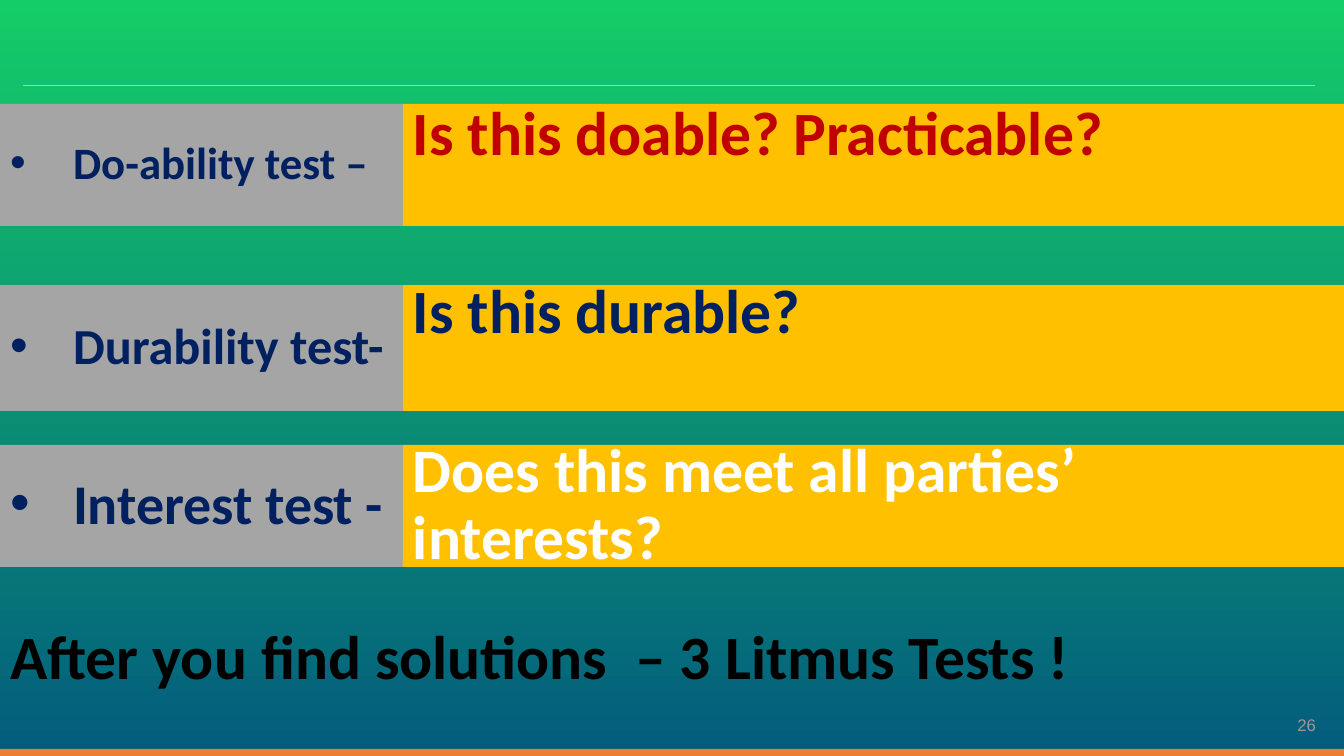
from lxml.etree import SubElement
from pptx import Presentation
from pptx.dml.color import RGBColor
from pptx.enum.shapes import MSO_CONNECTOR, MSO_SHAPE
from pptx.enum.text import MSO_ANCHOR, PP_ALIGN
from pptx.oxml.ns import qn
from pptx.util import Pt

PX = 914400 / 100.8
WIDE, HIGH = 1344, 756
SPLIT = 403

GREEN = RGBColor(0x14, 0xCD, 0x68)
TEAL = RGBColor(0x03, 0x5C, 0x7D)
ORANGE = RGBColor(0xED, 0x7D, 0x31)
SILVER = RGBColor(0xBF, 0xBF, 0xBF)
GREY = RGBColor(0xA5, 0xA5, 0xA5)
PALE = RGBColor(0x9A, 0x99, 0x9B)
GOLD = RGBColor(0xFF, 0xC0, 0x00)
NAVY = RGBColor(0x00, 0x20, 0x60)
RED = RGBColor(0xC0, 0x00, 0x00)
WHITE = RGBColor(0xFF, 0xFF, 0xFF)
BLACK = RGBColor(0x00, 0x00, 0x00)

deck = Presentation()
deck.slide_width, deck.slide_height = round(WIDE * PX), round(HIGH * PX)
slide = deck.slides.add_slide(deck.slide_layouts[6])


def add_box(left, top, width, height, fill=None):
    """Add a filled rectangle, or a text box when no fill is given."""
    area = [round(n * PX) for n in (left, top, width, height)]
    if fill is None:
        return slide.shapes.add_textbox(*area)
    box = slide.shapes.add_shape(MSO_SHAPE.RECTANGLE, *area)
    box.shadow.inherit = False
    box.fill.solid()
    box.fill.fore_color.rgb = fill
    box.line.fill.background()
    return box


def add_text(box, text, size, color, font="Calibri", bold=True, low=0):
    """Write one line in the middle of the box, raised by a bottom margin."""
    frame = box.text_frame
    frame.word_wrap = True
    frame.vertical_anchor = MSO_ANCHOR.MIDDLE
    frame.margin_left = frame.margin_right = round(10 * PX)
    frame.margin_top, frame.margin_bottom = 0, round(low * PX)
    para = frame.paragraphs[0]
    para.alignment = PP_ALIGN.LEFT
    run = para.add_run()
    run.text = text
    run.font.name, run.font.size, run.font.bold = font, Pt(size), bold
    run.font.color.rgb = color
    return para


back = slide.background.fill
back.gradient()
back.gradient_angle = 270
for stop, color, place in zip(back.gradient_stops, (GREEN, TEAL), (0, 1)):
    stop.color.rgb = color
    stop.position = place

page = add_text(add_box(970, 710, 356, 30), "26", 12, PALE, "Arial", False)
page.alignment = PP_ALIGN.RIGHT

add_box(0, 749, WIDE, 7, ORANGE)

ends = [round(n * PX) for n in (23, 85, 1315, 85)]
rule = slide.shapes.add_connector(MSO_CONNECTOR.STRAIGHT, *ends)
rule.line.color.rgb = SILVER
rule.line.width = Pt(0.5)
SubElement(rule._element.spPr, qn("a:effectLst"))

# top, height, test, test size, question, question color, bottom margin
tests = [
    (104, 122, "Do-ability test –", 32, "Is this doable? Practicable?", RED, 58),
    (285, 126, "Durability test-", 36, "Is this durable?", NAVY, 68),
    (445, 122, "Interest test -", 40, "Does this meet all parties’ interests?", WHITE, 0),
]
for top, height, test, size, query, color, low in tests:
    label = add_text(add_box(0, top, SPLIT, height, GREY), test, size, NAVY)
    label.line_spacing = 0.9
    props = label._p.get_or_add_pPr()
    indent = round(63 * PX)
    props.set("marL", str(indent))
    props.set("indent", str(-indent))
    SubElement(props, qn("a:buFont"), typeface="Arial")
    SubElement(props, qn("a:buChar"), char="•")

    answer = add_box(SPLIT, top, WIDE - SPLIT, height, GOLD)
    add_text(answer, query, 44, color, low=low).line_spacing = 0.9

add_text(add_box(0, 612, 1326, 85), "After you find solutions  – 3 Litmus Tests !", 44, BLACK)

deck.save("out.pptx")
